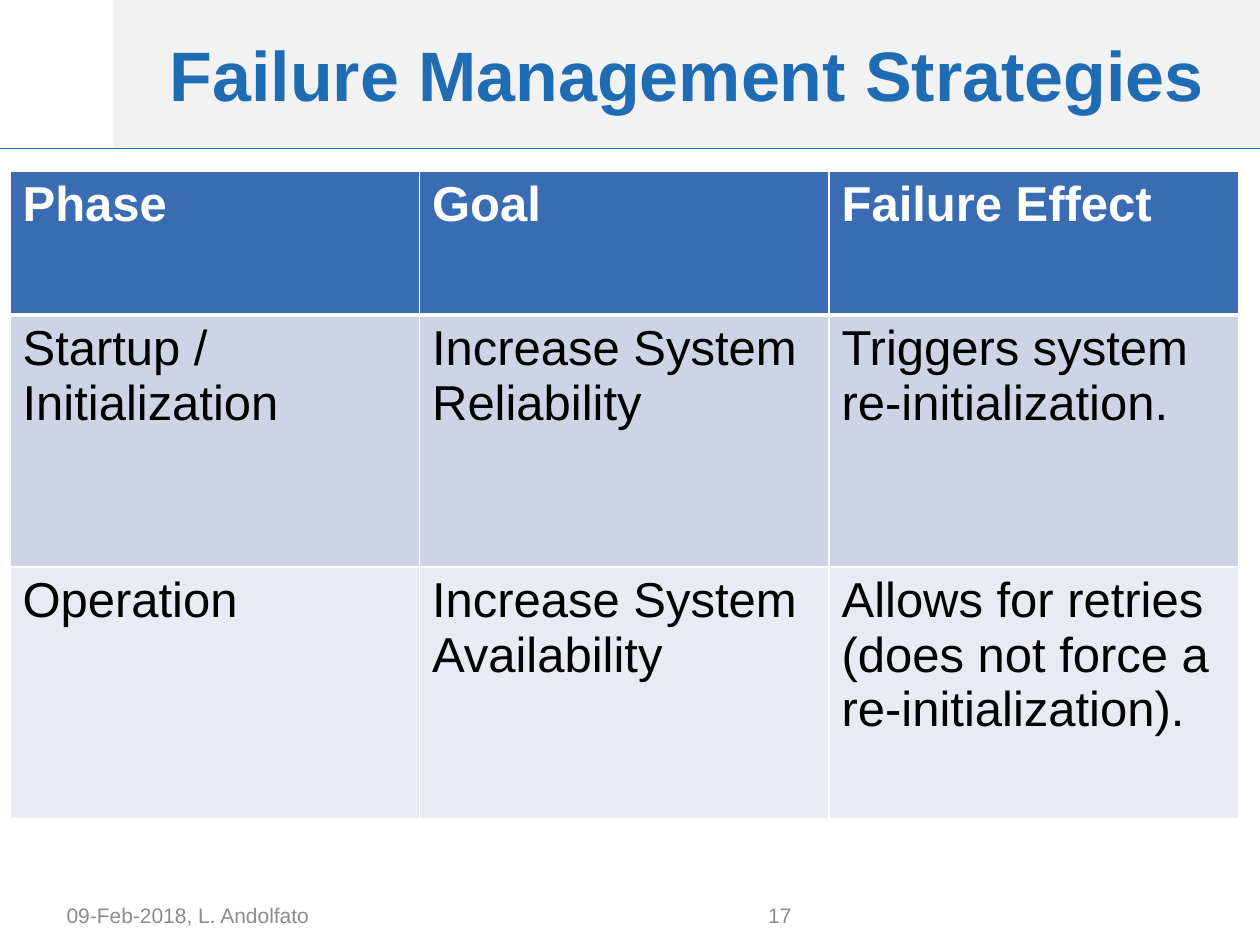
from lxml import etree
from pptx import Presentation
from pptx import util as u
from pptx.dml.color import RGBColor
from pptx.enum import shapes, text
from pptx.oxml import ns

BLUE = RGBColor(0x1F, 0x6C, 0xB4)
HEAD = RGBColor(0x3A, 0x6C, 0xB4)
BAND = RGBColor(0xCE, 0xD4, 0xE5)
PALE = RGBColor(0xE8, 0xEB, 0xF2)
LIGHT = RGBColor(0xF2, 0xF2, 0xF2)
GRAY = RGBColor(0x8C, 0x8C, 0x8C)
WHITE = RGBColor(0xFF, 0xFF, 0xFF)
BLACK = RGBColor(0, 0, 0)
LEFT, RIGHT, MID = text.PP_ALIGN.LEFT, text.PP_ALIGN.RIGHT, text.PP_ALIGN.CENTER


def write(frame, words, size, color, bold=False, align=LEFT):
    frame.text = words
    frame.word_wrap = True
    para = frame.paragraphs[0]
    para.alignment = align
    font = para.runs[0].font
    font.name, font.size, font.bold = "Arial", u.Pt(size), bold
    font.color.rgb = color


def edge(cell, side, width):
    line = etree.SubElement(cell._tc.get_or_add_tcPr(), ns.qn("a:ln" + side), w=str(u.Pt(width)))
    fill = etree.SubElement(line, ns.qn("a:solidFill"))
    etree.SubElement(fill, ns.qn("a:srgbClr"), val=str(WHITE))


deck = Presentation()
deck.slide_width, deck.slide_height = u.Inches(10), u.Inches(7.5)
slide = deck.slides.add_slide(deck.slide_layouts[5])

# Rule under the title band
rule = slide.shapes.add_connector(
    shapes.MSO_CONNECTOR.STRAIGHT, 0, u.Inches(1.18), deck.slide_width, u.Inches(1.18))
rule.line.color.rgb = BLUE
rule.line.width = u.Pt(0.75)
etree.SubElement(rule._element.spPr, ns.qn("a:effectLst"))

# Title
title = slide.shapes.title
title.left, title.top = u.Inches(0.9), 0
title.width, title.height = u.Inches(9.1), u.Inches(1.17)
title.fill.solid()
title.fill.fore_color.rgb = LIGHT
write(title.text_frame, "Failure Management Strategies", 40, BLUE, True, MID)
title.text_frame.vertical_anchor = text.MSO_ANCHOR.MIDDLE

# Table
rows = [
    ("Phase", "Goal", "Failure Effect"),
    ("Startup / Initialization", "Increase System Reliability",
     "Triggers system re-initialization."),
    ("Operation", "Increase System Availability",
     "Allows for retries (does not force a re-initialization)."),
]
tall = (1.14, 2, 2)
fills = (HEAD, BAND, PALE)
grid = slide.shapes.add_table(
    3, 3, u.Inches(0.08), u.Inches(1.36), u.Inches(9.75), u.Inches(sum(tall))).table
for r, row in enumerate(rows):
    grid.rows[r].height = u.Inches(tall[r])
    for c, words in enumerate(row):
        cell = grid.cell(r, c)
        write(cell.text_frame, words, 28, BLACK if r else WHITE, r == 0)
        for side in "LRTB":
            thick = (r, side) in ((0, "B"), (1, "T"))
            edge(cell, side, 3 if thick else 1)
        cell.fill.solid()
        cell.fill.fore_color.rgb = fills[r]

# Footer: date with author, page number
for left, width, words, align in (
        (0.43, 5.26, "09-Feb-2018, L. Andolfato", LEFT), (5.69, 0.69, "17", RIGHT)):
    box = slide.shapes.add_textbox(u.Inches(left), u.Inches(7.06), u.Inches(width), u.Inches(0.4))
    write(box.text_frame, words, 12, GRAY, align=align)
    box.text_frame.vertical_anchor = text.MSO_ANCHOR.MIDDLE

deck.save("out.pptx")
